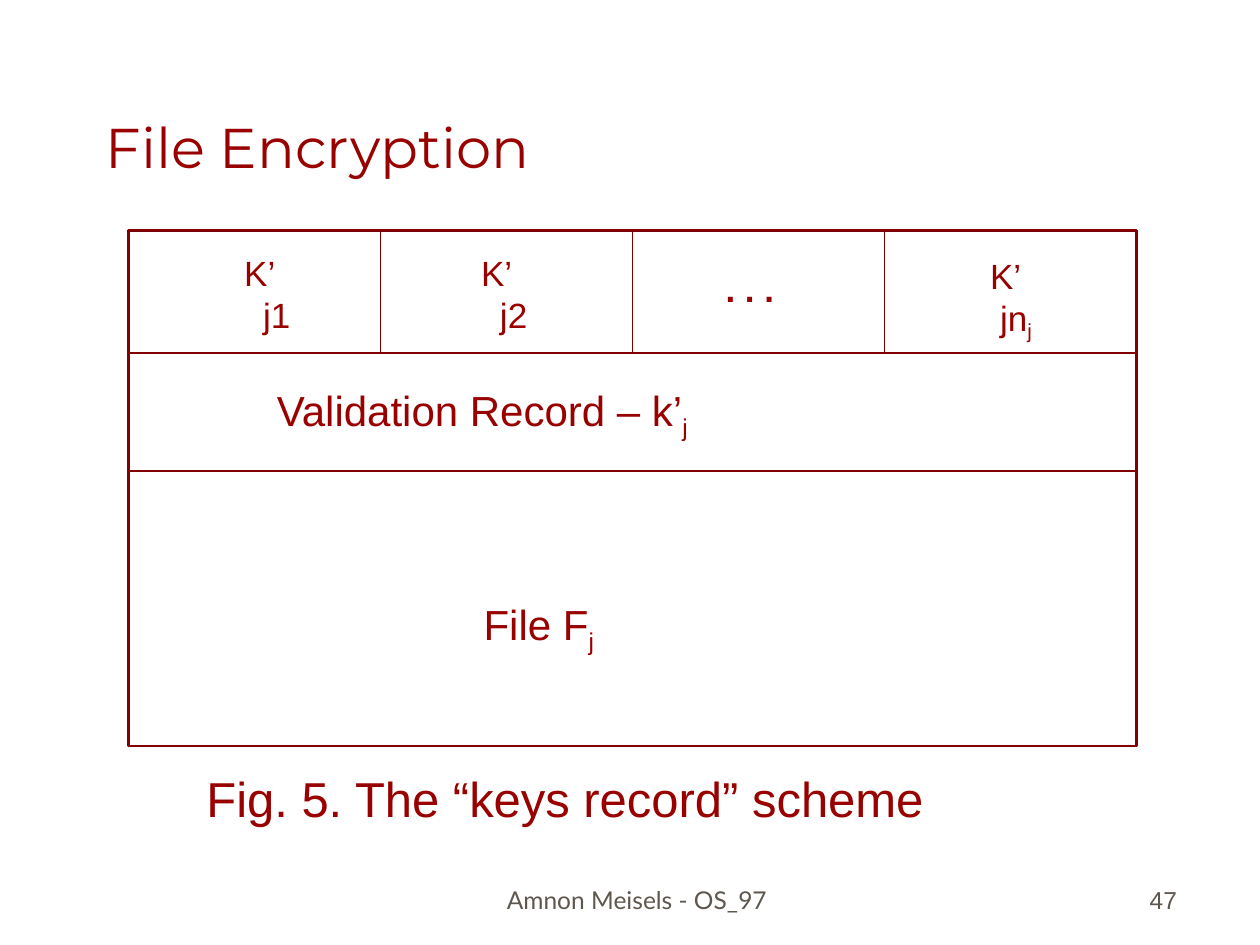
from lxml import etree
from pptx import Presentation
from pptx.dml.color import RGBColor
from pptx.enum.shapes import MSO_CONNECTOR, MSO_SHAPE
from pptx.enum.text import MSO_ANCHOR, PP_ALIGN
from pptx.oxml.ns import qn
from pptx.util import Inches, Pt

LEFT, MID, RIGHT = PP_ALIGN.LEFT, PP_ALIGN.CENTER, PP_ALIGN.RIGHT
TOP, BOTTOM = MSO_ANCHOR.TOP, MSO_ANCHOR.BOTTOM
RECT, LINE = MSO_SHAPE.RECTANGLE, MSO_CONNECTOR.STRAIGHT
RED, DARK, GREY = "990000", "800000", "5E574E"


def paint(color, hue):
    color.rgb = RGBColor.from_string(hue)


def style(run, size, hue, face="Arial", bold=False):
    run.font.size = Pt(size)
    run.font.name = face
    run.font.bold = bold
    paint(run.font.color, hue)


def add_sub(para, text, size, drop):
    run = para.add_run()
    run.text = text
    style(run, size, RED)
    run.font._element.set("baseline", str(-drop * 1000))


def add_text(slide, box, text, size, hue=RED, face="Arial", bold=False,
             align=LEFT, anchor=TOP, wrap=True):
    frame = slide.shapes.add_textbox(*map(Inches, box)).text_frame
    frame.word_wrap = wrap
    frame.vertical_anchor = anchor
    frame.text = text
    for para in frame.paragraphs:
        para.alignment = align
        for run in para.runs:
            style(run, size, hue, face, bold)
    return frame.paragraphs


def add_line(slide, x1, y1, x2, y2):
    line = slide.shapes.add_connector(LINE, *map(Inches, (x1, y1, x2, y2)))
    paint(line.line.color, DARK)
    line.line.width = Pt(1)
    etree.SubElement(line._element.spPr, qn("a:effectLst"))


def add_title(slide, box, text):
    title = slide.shapes.title
    title.left, title.top, title.width, title.height = map(Inches, box)
    frame = title.text_frame
    frame.text = text
    frame.vertical_anchor = BOTTOM
    para = frame.paragraphs[0]
    para.alignment = LEFT
    style(para.runs[0], 32, RED, "Montserrat")


def add_key(slide, x, y, text, indent, sub=""):
    paras = add_text(slide, (x, y, 0.57, 0.77), "K’\n" + text, 20, wrap=False)
    paras[1]._p.get_or_add_pPr().set("marL", str(Inches(indent)))
    if sub:
        add_sub(paras[1], sub, 20, 20)


def add_scheme(slide, box):
    x, y, w, h = box
    frame = slide.shapes.add_shape(RECT, *map(Inches, box))
    frame.shadow.inherit = False
    frame.fill.background()
    paint(frame.line.color, DARK)
    frame.line.width = Pt(1.5)

    for drop in (0.97, 1.91):
        add_line(slide, x, y + drop, x + w, y + drop)
    for col in (1, 2, 3):
        edge = x + col * w / 4
        add_line(slide, edge, y, edge, y + 0.98)

    add_key(slide, x + 0.82, y + 0.12, "j1", 0.15)
    add_key(slide, x + 2.7, y + 0.12, "j2", 0.15)
    add_key(slide, x + 6.74, y + 0.14, "jn", 0.08, "j")
    add_text(slide, (x + 4.64, y + 0.24, 0.72, 0.44), ". . .", 20, bold=True)

    for dx, dy, width, text in (
        (1.08, 1.17, 4.26, "Validation Record – k’"),
        (2.72, 2.87, 2.64, "File F"),
    ):
        paras = add_text(slide, (x + dx, y + dy, width, 0.56), text, 24)
        add_sub(paras[0], "j", 24, 25)


def add_footer(slide, box):
    x, y, w, h = box
    add_text(slide, (x, y, 3.27, h), "Amnon Meisels - OS_97", 14, GREY, "Lato",
             align=MID, anchor=BOTTOM)
    add_text(slide, (x + w - 2.08, y, 2.08, h), "47", 14, GREY,
             align=RIGHT, anchor=BOTTOM)


def main():
    deck = Presentation()
    deck.slide_width, deck.slide_height = Inches(10), Inches(7.5)
    slide = deck.slides.add_slide(deck.slide_layouts[5])
    add_title(slide, (0.74, 0.23, 8.5, 1.25), "File Encryption")
    add_scheme(slide, (1.02, 1.83, 8, 4.09))
    add_text(slide, (1.54, 6.05, 6.97, 0.57),
             "Fig. 5. The “keys record” scheme", 28)
    add_footer(slide, (3.42, 6.81, 6.02, 0.5))
    deck.save("out.pptx")


if __name__ == "__main__":
    main()
